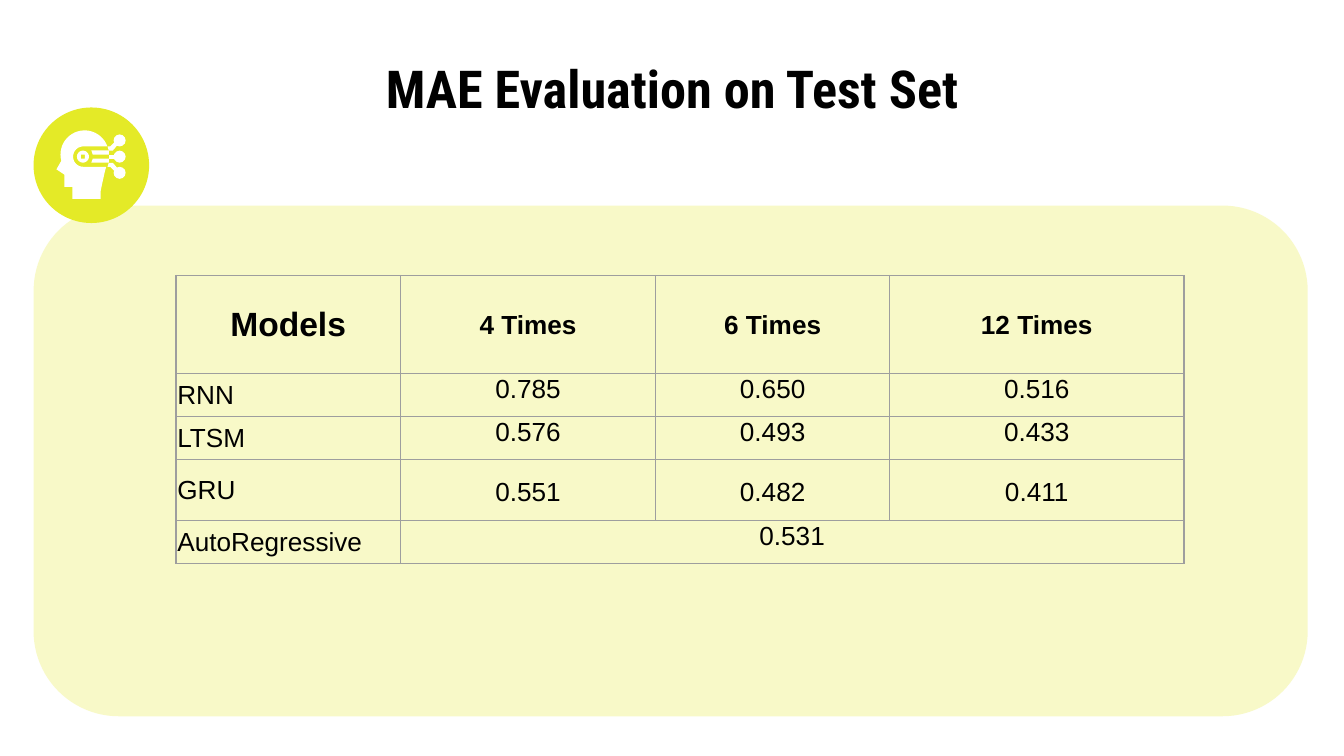
from math import cos, radians, sin
from typing import NamedTuple

from lxml.etree import SubElement
from pptx import Presentation
from pptx.dml.color import RGBColor
from pptx.enum.shapes import MSO_SHAPE
from pptx.enum.text import MSO_ANCHOR, MSO_AUTO_SIZE, PP_ALIGN
from pptx.oxml.ns import qn
from pptx.util import Inches, Pt

LIME, WHITE, BLACK, GREY = "E4EA27", "FFFFFF", "000000", "9E9E9E"
CELL_MARGINS = {"margin_left": 0.01, "margin_right": 0.01, "margin_top": 0.01, "margin_bottom": 0}
LOOSE_MARGINS = dict.fromkeys(CELL_MARGINS, 0.1)
COLUMN_SHARES = [1.67, 1.9, 1.74, 2.19]
ROW_SHARES = [0.73, 0.32, 0.32, 0.32, 0.32]
ROWS = [
    ["Models", "4 Times", "6 Times", "12 Times"],
    ["RNN", "0.785", "0.650", "0.516"],
    ["LTSM", "0.576", "0.493", "0.433"],
    ["GRU", "0.551", "0.482", "0.411"],
    ["AutoRegressive", "0.531"],
]
LOOSE_ROW = 3
MIRROR_AXIS = 42.5


class Box(NamedTuple):
    """A rectangle in inches that can be divided into a grid."""

    left: float
    top: float
    width: float
    height: float

    def cells(self, left, top, width, height, columns=100, rows=100):
        """Return the box that covers the given cells of a grid."""
        column, row = self.width / columns, self.height / rows
        return Box(self.left + left * column, self.top + top * row, width * column, height * row)

    def emu(self):
        """Return left, top, width and height as lengths."""
        return [Inches(value) for value in self]


def colour(value):
    """Turn a hex string into a colour."""
    return RGBColor.from_string(value)


def apply(target, values):
    """Set each attribute named in a dict."""
    for name, value in values.items():
        setattr(target, name, value)


def format_font(font, name, size, bold=False):
    """Format a font in black."""
    apply(font, {"name": name, "size": Pt(size), "bold": bold})
    font.color.rgb = colour(BLACK)


def paint(shape, fill):
    """Give a shape a plain fill without line or shadow."""
    shape.shadow.inherit = False
    shape.fill.solid()
    shape.fill.fore_color.rgb = colour(fill)
    shape.line.fill.background()


def add_preset(shapes, preset, box, fill):
    """Add a plain preset shape."""
    shape = shapes.add_shape(preset, *box.emu())
    paint(shape, fill)
    return shape


def add_outline(shapes, box, *contours):
    """Add a white outline from contours on a 100 by 100 grid in the box."""
    placed = [[box.cells(x, y, 0, 0).emu()[:2] for x, y in contour] for contour in contours]
    builder = shapes.build_freeform(*placed[0][0])
    builder.add_line_segments(placed[0][1:], close=True)
    for contour in placed[1:]:
        builder.move_to(*contour[0])
        builder.add_line_segments(contour[1:], close=True)
    paint(builder.convert_to_shape(), WHITE)


def arc(x, y, radius, start, end, steps=24):
    """Return points along an arc given in degrees."""
    angles = [radians(start + (end - start) * step / steps) for step in range(steps + 1)]
    return [(x + radius * cos(angle), y + radius * sin(angle)) for angle in angles]


def mirror(points):
    """Flip points across the axis of the circuit."""
    return [(x, 2 * MIRROR_AXIS - y) for x, y in points]


def add_panel(slide, box):
    """Add the pale rounded panel."""
    panel = add_preset(slide.shapes, MSO_SHAPE.ROUNDED_RECTANGLE, box, LIME)
    panel.adjustments[0] = 1 / 6
    tint = panel.fill._xPr.find(".//" + qn("a:srgbClr"))
    SubElement(tint, qn("a:alpha"), val="25000")


def add_title(slide, box):
    """Place and format the title."""
    title = slide.shapes.title
    apply(title, dict(zip(("left", "top", "width", "height"), box.emu())))
    frame = title.text_frame
    apply(frame, {"text": "MAE Evaluation on Test Set", "word_wrap": True,
                  "auto_size": MSO_AUTO_SIZE.NONE, "vertical_anchor": MSO_ANCHOR.MIDDLE})
    apply(frame, {name: Inches(value) for name, value in LOOSE_MARGINS.items()})
    frame.paragraphs[0].alignment = PP_ALIGN.CENTER
    format_font(frame.paragraphs[0].runs[0].font, "Roboto Condensed", 28, True)


def add_icon(slide, box):
    """Add the round icon of a head joined to a circuit."""
    shapes = slide.shapes.add_group_shape().shapes
    add_preset(shapes, MSO_SHAPE.OVAL, box, LIME)
    skull = arc(44.2, 40.7, 20.9, 165, 340)
    slot = arc(43, MIRROR_AXIS, 8.8, 270, 90)
    face = [(62.8, 51.3), (61.6, 55.8), (59.3, 66.3), (58.1, 72.1), (58.1, 79.1), (33.7, 79.1),
            (33.7, 68.6), (26.7, 68.6), (26.7, 58.1), (19.8, 53.5)]
    add_outline(shapes, box, skull + slot + face)
    pupil = [(41, 40.8), (41, 44.2), (44.4, 44.2), (44.4, 40.8)]
    add_outline(shapes, box, arc(42.7, MIRROR_AXIS, 5.2, 0, 360), pupil)
    bar = [(50, 37.2), (65.1, 37.2), (65.1, 40.7), (51.2, 40.7)]
    stem = [(64, 33.7), (66.3, 33.7), (69.8, 30.2), (72.5, 32.6), (68.6, 37.2), (65.1, 37.2)]
    link = [(65.1, 40.7), (70, 40.7), (70, 44.3), (65.1, 44.3)]
    for outline in (bar, mirror(bar), stem, mirror(stem), link):
        add_outline(shapes, box, outline)
    for offset in (-14, 0, 14):
        node = box.cells(69.2, MIRROR_AXIS + offset - 5.2, 10.4, 10.4)
        add_preset(shapes, MSO_SHAPE.OVAL, node, WHITE)


def add_borders(cell):
    """Draw thin grey borders around a cell and clear its fill."""
    properties = cell._tc.get_or_add_tcPr()
    for side in ("lnL", "lnR", "lnT", "lnB"):
        line = SubElement(properties, qn("a:" + side), w=str(Pt(0.75)))
        SubElement(SubElement(line, qn("a:solidFill")), qn("a:srgbClr"), val=GREY)
    cell.fill.background()


def fill_cell(cell, text, row, column):
    """Write and format one table cell."""
    is_header, is_label = row == 0, column == 0
    is_loose = row == LOOSE_ROW and not is_label
    margins = LOOSE_MARGINS if is_loose else CELL_MARGINS
    apply(cell, {name: Inches(value) for name, value in margins.items()})
    cell.vertical_anchor = MSO_ANCHOR.MIDDLE if is_header or is_label else MSO_ANCHOR.TOP
    cell.text = text
    paragraph = cell.text_frame.paragraphs[0]
    paragraph.alignment = PP_ALIGN.LEFT if is_label and not is_header else PP_ALIGN.CENTER
    if is_loose:
        paragraph.line_spacing = 1.15
    format_font(paragraph.runs[0].font, "Arial", 18 if is_header and is_label else 14, is_header)


def add_results(slide, box):
    """Add the table of errors for each model."""
    table = slide.shapes.add_table(len(ROWS), len(COLUMN_SHARES), *box.emu()).table
    apply(table, {"first_row": False, "horz_banding": False})
    for column, share in zip(table.columns, COLUMN_SHARES):
        column.width = Inches(box.width * share / sum(COLUMN_SHARES))
    for row, share in zip(table.rows, ROW_SHARES):
        row.height = Inches(box.height * share / sum(ROW_SHARES))
    for cell in table.iter_cells():
        add_borders(cell)
    last = len(ROWS) - 1
    table.cell(last, 1).merge(table.cell(last, len(COLUMN_SHARES) - 1))
    for row, texts in enumerate(ROWS):
        for column, text in enumerate(texts):
            fill_cell(table.cell(row, column), text, row, column)


def main():
    """Build the slide and save it."""
    presentation = Presentation()
    page = Box(0, 0, 10, 10 * 9 / 16)
    apply(presentation, {"slide_width": Inches(page.width), "slide_height": Inches(page.height)})
    slide = presentation.slides.add_slide(presentation.slide_layouts[5])
    grid = {"columns": 100, "rows": 56.25}
    add_panel(slide, page.cells(2.5, 15.3, 94.8, 38, **grid))
    add_title(slide, page.cells(5, 4.5, 90, 4.1, **grid))
    add_icon(slide, page.cells(2.5, 8, 8.6, 8.6, **grid))
    add_results(slide, page.cells(13.1, 20.5, 75, 20.1, **grid))
    presentation.save("out.pptx")


if __name__ == "__main__":
    main()
